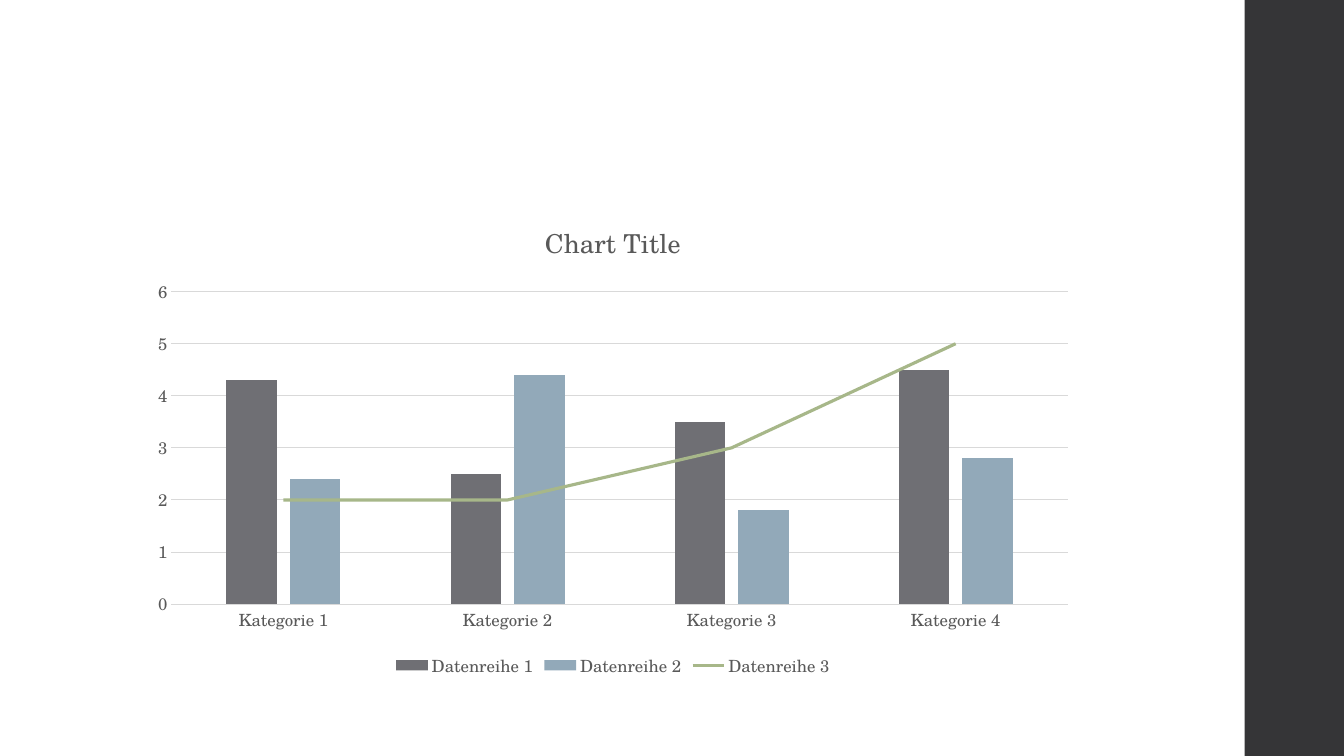
from lxml import etree
from pptx import Presentation
from pptx.chart.data import CategoryChartData
from pptx.dml.color import RGBColor
from pptx.enum.chart import XL_CHART_TYPE, XL_LEGEND_POSITION, XL_MARKER_STYLE, XL_TICK_MARK
from pptx.enum.shapes import MSO_SHAPE
from pptx.oxml import parse_xml
from pptx.oxml.ns import nsdecls, qn
from pptx.util import Pt

COLUMNS = XL_CHART_TYPE.COLUMN_CLUSTERED
BOTTOM = XL_LEGEND_POSITION.BOTTOM
NO_MARKER = XL_MARKER_STYLE.NONE
NO_TICK = XL_TICK_MARK.NONE
RECTANGLE = MSO_SHAPE.RECTANGLE

CATEGORIES = [f"Kategorie {number}" for number in range(1, 5)]
SERIES = [
    ("Datenreihe 1", (4.3, 2.5, 3.5, 4.5), "6F6F74"),
    ("Datenreihe 2", (2.4, 4.4, 1.8, 2.8), "92A9B9"),
    ("Datenreihe 3", (2, 2, 3, 5), "A7B789"),
]


def color(value):
    return RGBColor.from_string(value)


def style_font(font, size, name, ink):
    font.size = Pt(size)
    font.name = name
    font.bold = False
    font.color.rgb = color(ink)


def write(frame, text, size, name, ink):
    para = frame.paragraphs[0]
    span = para.add_run()
    span.text = text
    style_font(span.font, size, name, ink)


def draw_line(line, ink, width):
    line.color.rgb = color(ink)
    line.width = Pt(width)


def move_last_series_to_line(chart):
    columns = chart.plots[0]._element
    series = columns.findall(qn("c:ser"))[-1]
    for flag in series.findall(qn("c:invertIfNegative")):
        series.remove(flag)
    line_plot = parse_xml(f"<c:lineChart {nsdecls('c')}/>")
    etree.SubElement(line_plot, qn("c:grouping")).set("val", "standard")
    etree.SubElement(line_plot, qn("c:varyColors")).set("val", "0")
    line_plot.append(series)
    etree.SubElement(line_plot, qn("c:marker")).set("val", "1")
    for axis in columns.findall(qn("c:axId")):
        etree.SubElement(line_plot, qn("c:axId")).set("val", axis.get("val"))
    columns.addnext(line_plot)


class SlideBuilder:
    font = "TeX Gyre Schola"
    ink = "595959"
    rule = "D9D9D9"

    def __init__(self, page):
        self.page = page

    def bar(self, left, top, width, height, fill):
        box = self.page.shapes.add_shape(RECTANGLE, Pt(left), Pt(top), Pt(width), Pt(height))
        box.shadow.inherit = False
        box.fill.solid()
        box.fill.fore_color.rgb = color(fill)
        box.line.fill.background()

    def axis(self, axis):
        axis.major_tick_mark = NO_TICK
        axis.minor_tick_mark = NO_TICK
        style_font(axis.tick_labels.font, 12, self.font, self.ink)

    def combined_chart(self, left, top, width, height, title):
        data = CategoryChartData()
        data.categories = CATEGORIES
        for name, values, _ in SERIES:
            data.add_series(name, values)
        frame = self.page.shapes.add_chart(COLUMNS, Pt(left), Pt(top), Pt(width), Pt(height), data)
        chart = frame.chart
        style_font(chart.font, 10, self.font, "000000")
        move_last_series_to_line(chart)

        columns, trend = chart.plots
        columns.gap_width = 219
        columns.overlap = -27
        columns.vary_by_categories = False
        for series, (_, _, fill) in zip(columns.series, SERIES):
            series.format.fill.solid()
            series.format.fill.fore_color.rgb = color(fill)
        curve = trend.series[0]
        curve.smooth = False
        curve.marker.style = NO_MARKER
        draw_line(curve.format.line, SERIES[-1][2], 2.25)

        self.axis(chart.category_axis)
        draw_line(chart.category_axis.format.line, self.rule, 0.75)
        scale = chart.value_axis
        self.axis(scale)
        scale.minimum_scale, scale.maximum_scale, scale.major_unit = 0, 6, 1
        scale.format.line.fill.background()
        draw_line(scale.major_gridlines.format.line, self.rule, 0.75)

        chart.has_title = True
        write(chart.chart_title.text_frame, title, size=18.6, name=self.font, ink=self.ink)
        chart.chart_title.include_in_layout = False
        chart.has_legend = True
        chart.legend.position = BOTTOM
        chart.legend.include_in_layout = False
        style_font(chart.legend.font, 12, self.font, self.ink)


def main():
    deck = Presentation()
    deck.slide_width, deck.slide_height = Pt(960), Pt(540)
    page = deck.slides.add_slide(deck.slide_layouts[6])
    builder = SlideBuilder(page)
    builder.bar(889, 0, 71, 540, "353537")
    builder.combined_chart(99.4, 144, 676.8, 342.7, "Chart Title")
    deck.save("out.pptx")


if __name__ == "__main__":
    main()
